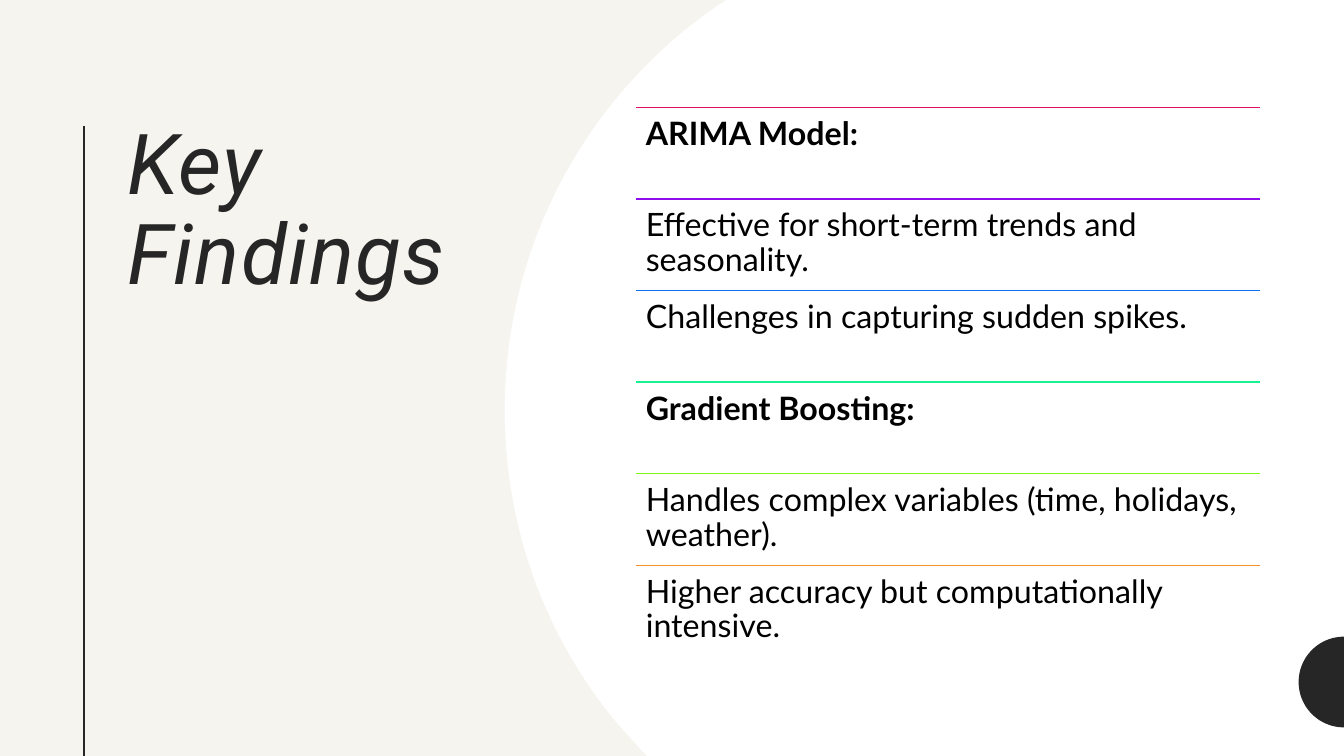
from dataclasses import dataclass
from math import cos, pi, sin

from lxml.etree import SubElement
from pptx import Presentation
from pptx.dml.color import RGBColor
from pptx.enum.shapes import MSO_CONNECTOR as Connector
from pptx.enum.text import MSO_ANCHOR as Anchor
from pptx.oxml.ns import qn
from pptx.slide import Slide
from pptx.text.text import _Run as Run
from pptx.util import Inches, Pt

Point = tuple[float, float]

COLUMNS, ROWS = 16, 9
CELL = Inches(7.5) / ROWS
COLORS = {
    "paper": "F6F4EF",
    "panel": "FFFFFF",
    "ink": "262626",
    "text": "000000",
    "pink": "E20E65",
    "violet": "8D0EEA",
    "blue": "0F71F2",
    "mint": "16F390",
    "lime": "7FF41D",
    "orange": "F59324",
}


@dataclass(frozen=True)
class Box:
    left: float
    top: float
    width: float
    height: float


@dataclass(frozen=True)
class TextStyle:
    font: str
    size: float
    color: str
    inset: float
    bold: bool = False
    italic: bool = False


@dataclass(frozen=True)
class Finding:
    text: str
    color: str
    heading: bool = False


TITLE_BOX = Box(1.4, 1.39, 4.09, 6.31)
TITLE_STYLE = TextStyle("Roboto", 60, "ink", 0.05, italic=True)
LIST_BOX = Box(7.57, 1.28, 7.43, 1.09)
FINDINGS = [
    Finding("ARIMA Model:", "pink", heading=True),
    Finding("Effective for short-term trends and seasonality.", "violet"),
    Finding("Challenges in capturing sudden spikes.", "blue"),
    Finding("Gradient Boosting:", "mint", heading=True),
    Finding("Handles complex variables (time, holidays, weather).", "lime"),
    Finding("Higher accuracy but computationally intensive.", "orange"),
]


def grid(cells: float) -> int:
    """Convert grid cells to slide units."""
    return round(cells * CELL)


def rgb(name: str) -> RGBColor:
    """Look up a named colour."""
    return RGBColor.from_string(COLORS[name])


def curve(start: Point, first: Point, second: Point, end: Point, steps: int = 40) -> list[Point]:
    """Sample a cubic curve at equal parameter steps."""
    points = []
    for step in range(steps + 1):
        t = step / steps
        weights = ((1 - t) ** 3, 3 * t * (1 - t) ** 2, 3 * t * t * (1 - t), t ** 3)
        controls = (start, first, second, end)
        points.append(tuple(sum(w * c[axis] for w, c in zip(weights, controls)) for axis in (0, 1)))
    return points


def left_half_disc(center: Point, radius: float, steps: int = 50) -> list[Point]:
    """Sample the left half of a circle from top to bottom."""
    angles = [pi * step / steps for step in range(steps + 1)]
    return [(center[0] - radius * sin(a), center[1] - radius * cos(a)) for a in angles]


def add_outline(slide: Slide, points: list[Point], color: str) -> None:
    """Draw a filled closed outline."""
    corners = [(grid(x), grid(y)) for x, y in points]
    builder = slide.shapes.build_freeform(*corners[0])
    builder.add_line_segments(corners[1:], close=True)
    shape = builder.convert_to_shape()
    shape.shadow.inherit = False
    shape.fill.solid()
    shape.fill.fore_color.rgb = rgb(color)
    shape.line.fill.background()


def add_rule(slide: Slide, start: Point, end: Point, color: str, weight: float) -> None:
    """Draw a straight rule without a shadow."""
    ends = [grid(value) for value in (*start, *end)]
    rule = slide.shapes.add_connector(Connector.STRAIGHT, *ends)
    rule.line.color.rgb = rgb(color)
    rule.line.width = Pt(weight)
    SubElement(rule._element.spPr, qn("a:effectLst"))


def add_text(slide: Slide, box: Box, text: str, style: TextStyle) -> Run:
    """Add a wrapped text box and return its run."""
    edges = [grid(value) for value in (box.left, box.top, box.width, box.height)]
    frame = slide.shapes.add_textbox(*edges).text_frame
    frame.word_wrap = True
    frame.vertical_anchor = Anchor.TOP
    frame.margin_left = frame.margin_right = Inches(0.1)
    frame.margin_top = frame.margin_bottom = Inches(style.inset)
    paragraph = frame.paragraphs[0]
    paragraph.line_spacing = 0.9
    run = paragraph.add_run()
    run.text = text
    run.font.name = style.font
    run.font.size = Pt(style.size)
    run.font.bold = style.bold
    run.font.italic = style.italic
    run.font.color.rgb = rgb(style.color)
    return run


def add_findings(slide: Slide) -> None:
    """Stack the findings at equal steps, each under its own rule."""
    left, width, height = LIST_BOX.left, LIST_BOX.width, LIST_BOX.height
    for index, finding in enumerate(FINDINGS):
        top = LIST_BOX.top + index * height
        add_rule(slide, (left, top), (left + width, top), finding.color, 1)
        style = TextStyle("Lato", 23, "text", 0.1, bold=finding.heading)
        add_text(slide, Box(left, top, width, height), finding.text, style)


def main() -> None:
    """Build and save the slide."""
    presentation = Presentation()
    presentation.slide_width = grid(COLUMNS)
    presentation.slide_height = grid(ROWS)
    slide = presentation.slides.add_slide(presentation.slide_layouts[6])
    slide.background.fill.solid()
    slide.background.fill.fore_color.rgb = rgb("paper")

    title = add_text(slide, TITLE_BOX, "Key Findings", TITLE_STYLE)
    title.font._element.set("spc", "100")
    add_rule(slide, (1, 1.5), (1, ROWS), "ink", 1.5)

    lower_arc = curve((7.33, 8.59), (6.5, 7.58), (6.01, 6.3), (6.01, 4.88))
    upper_arc = curve((6.01, 4.88), (6.01, 2.88), (7.02, 1.1), (8.57, 0.05))
    corners = [(8.65, 0), (COLUMNS, 0), (COLUMNS, ROWS), (7.7, ROWS)]
    add_outline(slide, corners + lower_arc + upper_arc[1:], "panel")
    add_outline(slide, left_half_disc((COLUMNS, 8.12), 0.54), "ink")

    add_findings(slide)
    presentation.save("out.pptx")


if __name__ == "__main__":
    main()
